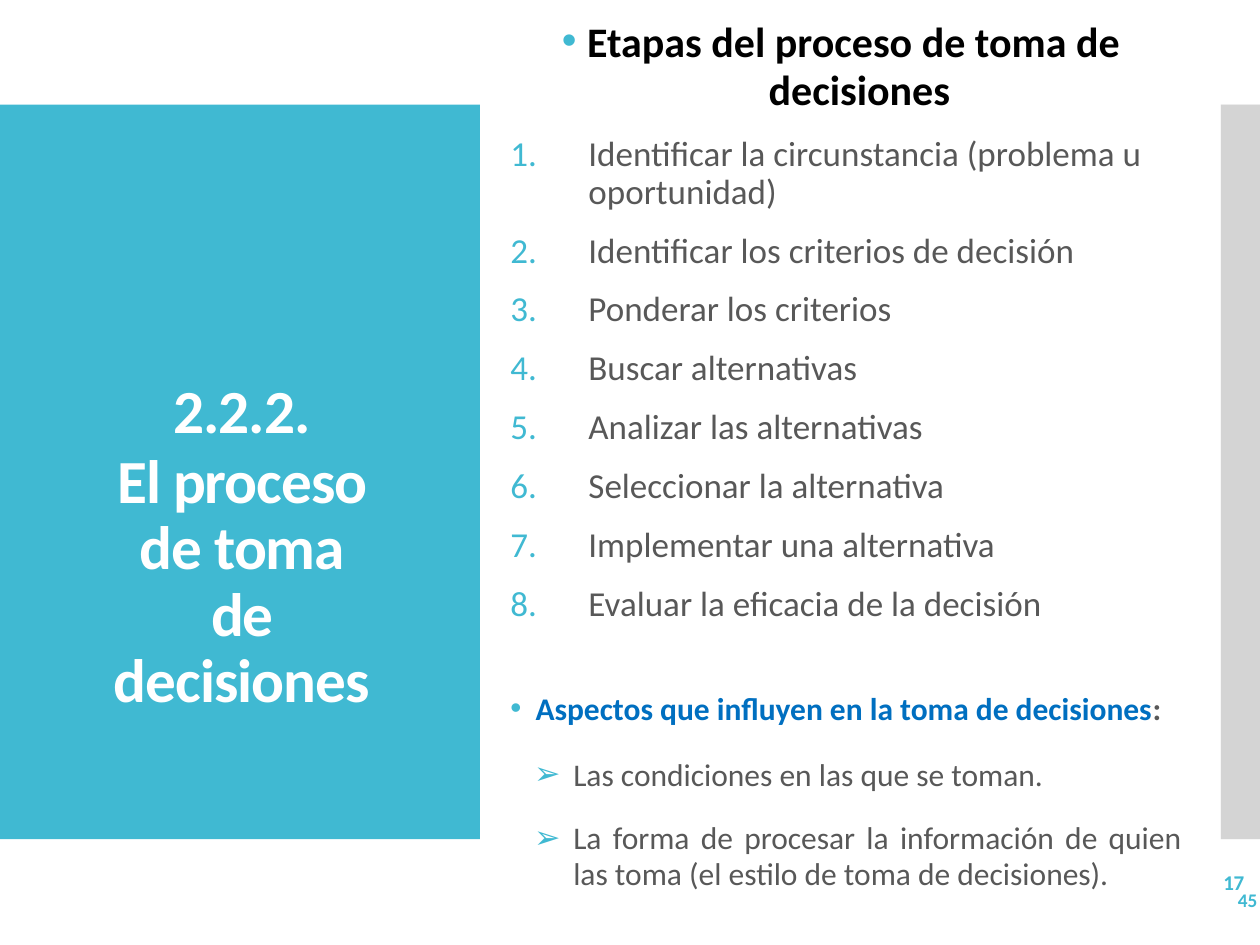
from lxml.etree import SubElement
from pptx import Presentation
from pptx.dml.color import RGBColor
from pptx.enum.shapes import MSO_SHAPE
from pptx.enum.text import MSO_ANCHOR, MSO_AUTO_SIZE, PP_ALIGN
from pptx.oxml.ns import qn
from pptx.util import Inches, Pt

TEAL, GRAY, TEXT = "40B9D2", "C7C7C7", "585858"
STEPS = [
    "Identificar la circunstancia (problema u oportunidad)",
    "Identificar los criterios de decisión",
    "Ponderar los criterios",
    "Buscar alternativas",
    "Analizar las alternativas",
    "Seleccionar la alternativa",
    "Implementar una alternativa",
    "Evaluar la eficacia de la decisión",
]


def rgb(value):
    """Return the colour for a hex string."""
    return RGBColor.from_string(value)


def add_panel(s, x, w, color, alpha=None):
    """Add a side panel behind the text."""
    sp = s.shapes.add_shape(MSO_SHAPE.RECTANGLE, Inches(x), Inches(0.83), Inches(w), Inches(5.83))
    sp.shadow.inherit = False
    sp.line.fill.background()
    sp.fill.solid()
    sp.fill.fore_color.rgb = rgb(color)
    if alpha:
        clr = sp.fill._xPr.find(".//" + qn("a:srgbClr"))
        SubElement(clr, qn("a:alpha"), val=str(alpha * 1000))
    s.shapes._spTree.insert(2, sp._element)


def set_frame(sp, x, y, w, h, anchor=MSO_ANCHOR.TOP):
    """Place a text shape, clear its insets and return its frame."""
    sp.left, sp.top, sp.width, sp.height = (Inches(v) for v in (x, y, w, h))
    tf = sp.text_frame
    tf.word_wrap = True
    tf.auto_size = MSO_AUTO_SIZE.NONE
    tf.vertical_anchor = anchor
    tf.margin_left = tf.margin_right = tf.margin_bottom = 0
    tf.margin_top = Inches(0.01)
    return tf


def add_box(s, *place, **kw):
    """Add a text box and return its frame."""
    return set_frame(s.shapes.add_textbox(0, 0, 0, 0), *place, **kw)


def set_bullet(p, bullet, margin, indent):
    """Set the indents and the bullet, number or absence of both."""
    pPr = p._p.get_or_add_pPr()
    pPr.set("marL", str(Inches(margin)))
    pPr.set("indent", str(Inches(indent)))
    if bullet is None:
        SubElement(pPr, qn("a:buNone"))
        return
    SubElement(SubElement(pPr, qn("a:buClr")), qn("a:srgbClr"), val=TEAL)
    if bullet == "1.":
        SubElement(pPr, qn("a:buFont"), typeface="+mj-lt")
        SubElement(pPr, qn("a:buAutoNum"), type="arabicPeriod")
    else:
        SubElement(pPr, qn("a:buFont"), typeface="Arial")
        SubElement(pPr, qn("a:buChar"), char=bullet)


def add_run(p, text, size, color, bold=False, spacing=0):
    """Add a formatted run to a paragraph."""
    r = p.add_run()
    r.text = text
    r.font.name, r.font.size, r.font.bold = "Calibri", Pt(size), bold
    r.font.color.rgb = rgb(color)
    if spacing:
        r._r.get_or_add_rPr().set("spc", str(round(spacing * 100)))


def add_text(tf, text, size, color, bold=False, spacing=0, bullet=None, margin=0,
             indent=0, align=PP_ALIGN.LEFT, line=None, before=0):
    """Add a formatted paragraph and return it."""
    p = tf.paragraphs[0] if not tf.text else tf.add_paragraph()
    set_bullet(p, bullet, margin, indent)
    p.alignment = align
    p.space_before = Pt(before)
    if line:
        p.line_spacing = Pt(line)
    add_run(p, text, size, color, bold, spacing)
    return p


def add_title(s):
    """Fill the title placeholder."""
    tf = set_frame(s.shapes.title, 0.83, 2.97, 2.18, 2.75)
    style = dict(size=35, color="FFFFFF", bold=True, spacing=-0.6, align=PP_ALIGN.CENTER)
    add_text(tf, "2.2.2.", line=39.9, **style)
    add_text(tf, "El proceso de toma de decisiones", line=37.8, before=2.6, **style)


def add_steps(s):
    """Fill the body placeholder with the heading and the numbered steps."""
    tf = set_frame(s.placeholders[1], 4.04, 0.13, 5.15, 4.83)
    style = dict(size=24, color="000000", bold=True, line=27.4)
    add_text(tf, "Etapas del proceso de toma de", bullet="•", margin=0.62, indent=-0.2, **style)
    add_text(tf, "decisiones", margin=2.06, **style)
    for i, step in enumerate(STEPS):
        add_text(tf, step, 20, TEXT, bullet="1.", margin=0.63, indent=-0.62,
                 line=None if i else 21.6, before=9.6 if i else 12.6)


def add_aspects(s):
    """Add the aspects heading and its list."""
    tf = add_box(s, 4.04, 5.46, 5.35, 0.33)
    p = add_text(tf, "Aspectos que influyen en la toma de decisiones", 18, "006FC0",
                 bold=True, bullet="•", margin=0.21, indent=-0.2)
    add_run(p, ":", 18, TEXT, bold=True)
    tf = add_box(s, 4.22, 5.98, 5.16, 1.12)
    style = dict(size=18, color=TEXT, bullet="➢", margin=0.33, indent=-0.31)
    add_text(tf, "Las condiciones en las que se toman.", **style)
    add_text(tf, "La forma de procesar la información de quien las toma (el estilo de toma de decisiones).",
             line=20.5, before=15.8, align=PP_ALIGN.JUSTIFY, **style)


def add_numbers(s):
    """Add the two page numbers."""
    tf = add_box(s, 9.7, 6.89, 0.18, 0.23)
    add_text(tf, "17", 12, TEAL, bold=True, spacing=-0.3, margin=0.01)
    tf = add_box(s, 8.72, 6.95, 1.26, 0.4, anchor=MSO_ANCHOR.MIDDLE)
    add_text(tf, "45", 11, TEAL, bold=True, align=PP_ALIGN.RIGHT, line=11.4)


def main():
    """Build and save the slide."""
    prs = Presentation()
    prs.slide_width, prs.slide_height = Inches(10), Inches(7.5)
    s = prs.slides.add_slide(prs.slide_layouts[1])
    add_panel(s, 0, 3.81, TEAL)
    for _ in range(2):
        add_panel(s, 9.69, 0.31, GRAY, alpha=50)
    add_title(s)
    add_steps(s)
    add_aspects(s)
    add_numbers(s)
    prs.save("out.pptx")


if __name__ == "__main__":
    main()
